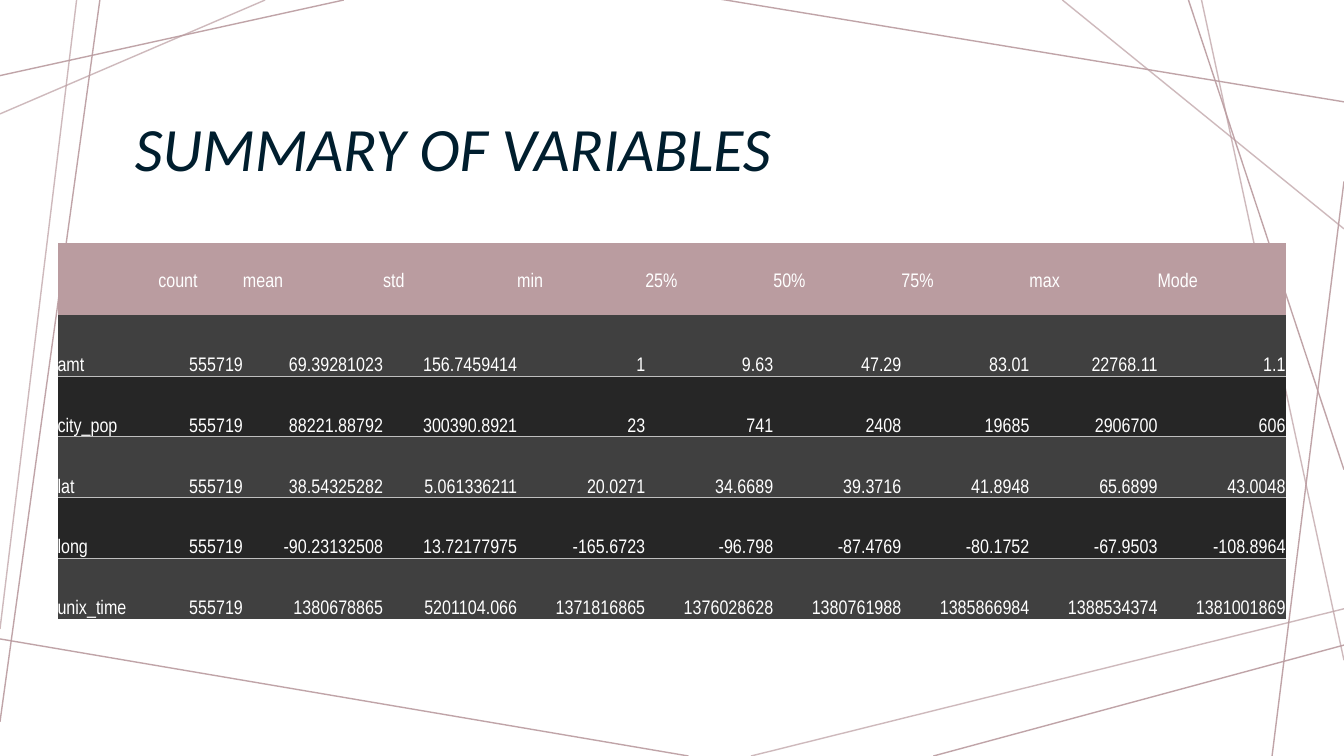
from lxml import etree
from pptx import Presentation
from pptx.dml.color import RGBColor
from pptx.enum.shapes import MSO_CONNECTOR as Connector
from pptx.enum.text import MSO_ANCHOR as Anchor, PP_ALIGN as Align
from pptx.oxml.ns import qn
from pptx.util import Inches, Pt

WIDTH, HEIGHT = Inches(13.333), Inches(7.5)
COLORS = {
    "rose": "BA9CA0",
    "navy": "001E2E",
    "white": "FFFFFF",
    "band_light": "404040",
    "band_dark": "262626",
    "rule": "BFBFBF",
}
TITLE_FONT = {"name": "Calibri", "size": Pt(44), "italic": True}
CELL_FONT = {"name": "Arial Narrow", "size": Pt(14)}
CELL_MARGINS = {
    "margin_left": 0,
    "margin_top": Inches(0.06),
    "margin_right": 0,
    "margin_bottom": 0,
}
NO_GRID_STYLE = "{2D5ABB26-0587-4C30-8999-92F81FD0307C}"

# Line ends as x1, y1, x2, y2 in percent of the slide's width and height
FRAME_LINES = [
    (25.58, 0, 0, 10),
    (7.43, 0, 0, 95.47),
    (51.23, 100, -0.38, 84.4),
    (100, 85.33, 69.45, 100),
    (100, 24, 94.65, 100),
    (100, 62.13, 88.43, 0),
    (100, 13.47, 53.55, -0.13),
]
ACCENT_LINES = [
    (0, 83.2, 5.7, 0),
    (100, 30.27, 79.05, 0),
    (89.4, 0, 100, 87.33),
    (19.73, 0, 0, 15.07),
    (55.88, 100, 100.58, 80.27),
]
FRAME_OPACITY, ACCENT_OPACITY = 91, 70

# Table grid in percent of the slide's width and height
COLUMNS = [7.5, 6.3, 10.43, 9.98] + [9.53] * 6
ROWS = [9.6] + [8.03] * 5
SUMMARY = [
    ["", "count", "mean", "std", "min", "25%", "50%", "75%", "max", "Mode"],
    ["amt", "555719", "69.39281023", "156.7459414", "1", "9.63", "47.29",
     "83.01", "22768.11", "1.1"],
    ["city_pop", "555719", "88221.88792", "300390.8921", "23", "741", "2408",
     "19685", "2906700", "606"],
    ["lat", "555719", "38.54325282", "5.061336211", "20.0271", "34.6689",
     "39.3716", "41.8948", "65.6899", "43.0048"],
    ["long", "555719", "-90.23132508", "13.72177975", "-165.6723", "-96.798",
     "-87.4769", "-80.1752", "-67.9503", "-108.8964"],
    ["unix_time", "555719", "1380678865", "5201104.066", "1371816865",
     "1376028628", "1380761988", "1385866984", "1388534374", "1381001869"],
]


def across(percent):
    return round(WIDTH * percent / 100)


def down(percent):
    return round(HEIGHT * percent / 100)


def set_all(target, values):
    for name, value in values.items():
        setattr(target, name, value)


def style_font(font, values, color):
    set_all(font, values)
    font.color.rgb = RGBColor.from_string(COLORS[color])


def add_line(s, x1, y1, x2, y2, opacity):
    line = s.shapes.add_connector(
        Connector.STRAIGHT, across(x1), down(y1), across(x2), down(y2))
    line.line.width = Pt(1)
    line.line.color.rgb = RGBColor.from_string(COLORS["rose"])
    sp_pr = line._element.spPr
    color = sp_pr.find(".//" + qn("a:srgbClr"))
    etree.SubElement(color, qn("a:alpha"), val=str(opacity * 1000))
    etree.SubElement(sp_pr, qn("a:effectLst"))


def add_title(s, text):
    box = s.shapes.add_textbox(
        across(9.3), down(9.33), across(86.33), down(21.47))
    tf = box.text_frame
    tf.word_wrap = True
    tf.vertical_anchor = Anchor.MIDDLE
    p = tf.paragraphs[0]
    p.line_spacing = 0.9
    r = p.add_run()
    r.text = text
    style_font(r.font, TITLE_FONT, "navy")


def add_rule(cell, side):
    """Draw a thin border on one side of a cell: lnT or lnB."""
    border = etree.Element(qn("a:" + side), w=str(Pt(1)))
    fill = etree.SubElement(border, qn("a:solidFill"))
    etree.SubElement(fill, qn("a:srgbClr"), val=COLORS["rule"])
    cell._tc.get_or_add_tcPr().insert(0, border)


def fill_cell(cell, text, row, column):
    is_header = row == 0
    band = "rose" if is_header else "band_light" if row % 2 else "band_dark"
    cell.fill.solid()
    cell.fill.fore_color.rgb = RGBColor.from_string(COLORS[band])
    set_all(cell, CELL_MARGINS)
    cell.vertical_anchor = Anchor.MIDDLE if is_header else Anchor.BOTTOM
    p = cell.text_frame.paragraphs[0]
    p.alignment = Align.LEFT if is_header or column == 0 else Align.RIGHT
    style_font(p.font, CELL_FONT, "white")
    if text:
        r = p.add_run()
        r.text = text
        style_font(r.font, CELL_FONT, "white")
    if 0 < row < len(ROWS) - 1:
        add_rule(cell, "lnB" if row % 2 else "lnT")


def add_summary_table(s):
    frame = s.shapes.add_table(
        len(ROWS), len(COLUMNS), across(4.28), down(32.13),
        across(sum(COLUMNS)), down(sum(ROWS)))
    table = frame.table
    table.horz_banding = False
    table._tbl.tblPr.find(qn("a:tableStyleId")).text = NO_GRID_STYLE
    for column, width in zip(table.columns, COLUMNS):
        column.width = across(width)
    for row, height in zip(table.rows, ROWS):
        row.height = down(height)
    for i, values in enumerate(SUMMARY):
        for j, text in enumerate(values):
            fill_cell(table.cell(i, j), text, i, j)


def main():
    prs = Presentation()
    prs.slide_width, prs.slide_height = WIDTH, HEIGHT
    s = prs.slides.add_slide(prs.slide_layouts[6])
    for lines, opacity in ((FRAME_LINES, FRAME_OPACITY),
                           (ACCENT_LINES, ACCENT_OPACITY)):
        for ends in lines:
            add_line(s, *ends, opacity)
    add_title(s, "SUMMARY OF VARIABLES")
    add_summary_table(s)
    prs.save("out.pptx")


if __name__ == "__main__":
    main()
